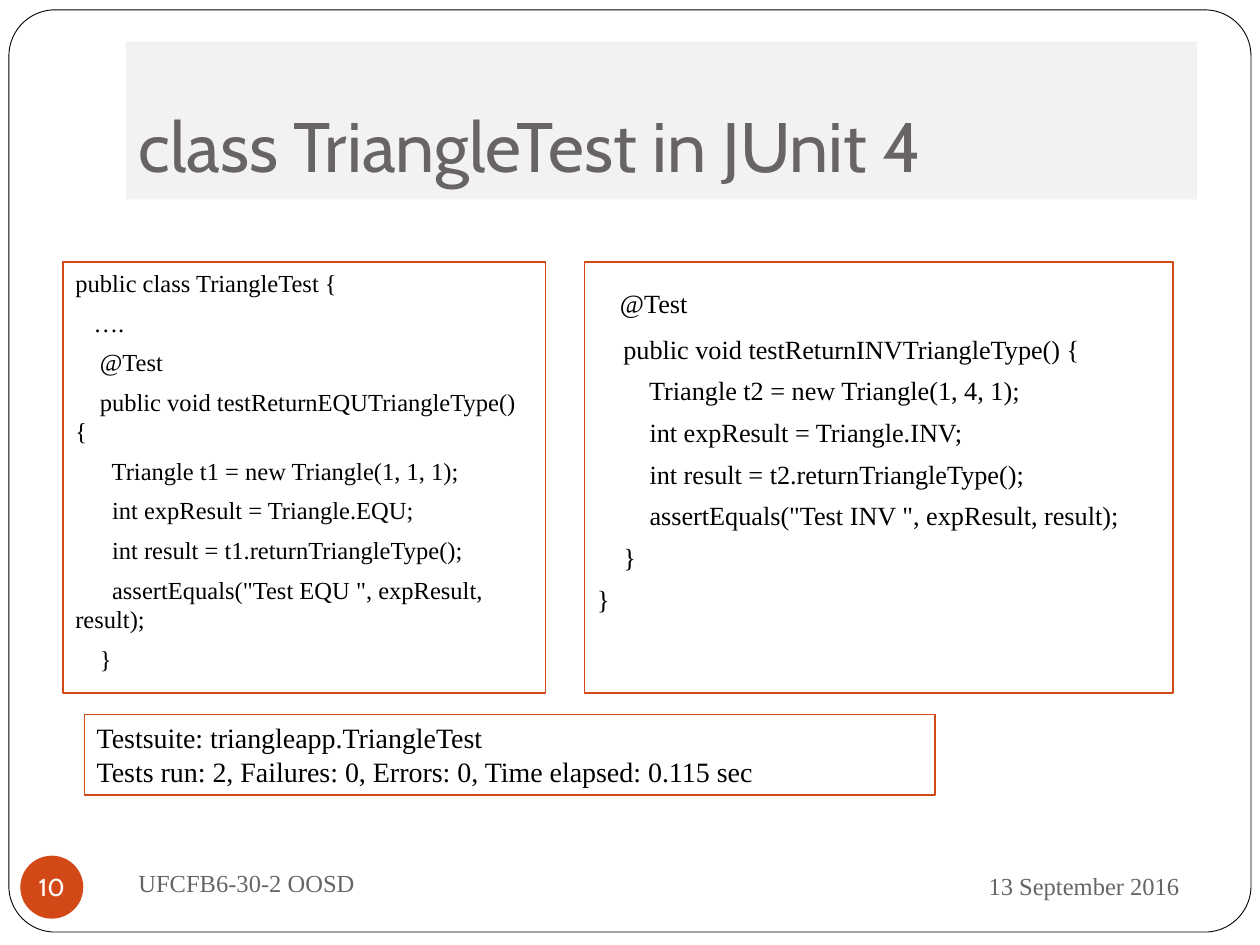
"""Build a slide showing a JUnit 4 test class and its test run output."""
from pptx import Presentation
from pptx.dml.color import RGBColor
from pptx.enum.shapes import MSO_SHAPE as Shape
from pptx.enum.text import MSO_ANCHOR as Anchor, PP_ALIGN as Align
from pptx.util import Cm, Pt

BLACK = RGBColor(0x00, 0x00, 0x00)
WHITE = RGBColor(0xFF, 0xFF, 0xFF)
GREY = RGBColor(0x69, 0x64, 0x64)
PALE = RGBColor(0xF2, 0xF2, 0xF2)
ORANGE = RGBColor(0xD3, 0x48, 0x17)
SERIF, SANS = "Times New Roman", "Cabin"

TITLE = "class TriangleTest in JUnit 4"
DATE = "13 September 2016"
COURSE = "UFCFB6-30-2 OOSD"
PAGE_NUMBER = "10"
EQU_TEST = [
    "public class TriangleTest {",
    "   ….",
    "    @Test",
    "    public void testReturnEQUTriangleType() {",
    "      Triangle t1 = new Triangle(1, 1, 1);",
    "      int expResult = Triangle.EQU;",
    "      int result = t1.returnTriangleType();",
    '      assertEquals("Test EQU ", expResult, result);',
    "    }",
]
INV_INDENT = "  "
INV_TEST = [
    INV_INDENT,
    "    public void testReturnINVTriangleType() {",
    "        Triangle t2 = new Triangle(1, 4, 1);",
    "        int expResult = Triangle.INV;",
    "        int result = t2.returnTriangleType();",
    '        assertEquals("Test INV ", expResult, result);',
    "    }",
    "}",
]
RESULTS = [
    "Testsuite: triangleapp.TriangleTest",
    "Tests run: 2, Failures: 0, Errors: 0, Time elapsed: 0.115 sec",
]
CODE_TOP, CODE_HEIGHT, CODE_GAP = 5.28, 8.69, 5.8


def add_panel(slide, kind, box, fill=None, line=None, width=0.75):
    """Add a preset shape with the given fill and outline."""
    shape = slide.shapes.add_shape(kind, *map(Cm, box))
    shape.shadow.inherit = False
    if fill is None:
        shape.fill.background()
    else:
        shape.fill.solid()
        shape.fill.fore_color.rgb = fill
    if line is None:
        shape.line.fill.background()
    else:
        shape.line.color.rgb = line
        shape.line.width = Pt(width)
    return shape


def style_run(run, size, font, color):
    """Set the size, typeface and colour of a run."""
    run.font.size = Pt(size)
    run.font.name = font
    run.font.color.rgb = color


def write(shape, lines, size, font=SERIF, color=BLACK, align=Align.LEFT,
          anchor=Anchor.TOP, gap=0):
    """Fill a shape with one paragraph per line."""
    frame = shape.text_frame
    frame.word_wrap = True
    frame.vertical_anchor = anchor
    frame.text = "\n".join(lines)
    for index, paragraph in enumerate(frame.paragraphs):
        paragraph.alignment = align
        paragraph.space_before = Pt(gap if index else 0)
        for run in paragraph.runs:
            style_run(run, size, font, color)
    return frame


def main():
    """Lay out the slide and save it."""
    presentation = Presentation()
    presentation.slide_width, presentation.slide_height = Cm(25.4), Cm(19.05)
    slide = presentation.slides.add_slide(presentation.slide_layouts[6])

    border = add_panel(slide, Shape.ROUNDED_RECTANGLE,
                       (0.18, 0.2, 25.04, 18.59), WHITE, BLACK, 0.5)
    border.adjustments[0] = 0.05

    title = add_panel(slide, Shape.RECTANGLE, (2.54, 0.84, 21.59, 3.18), PALE)
    frame = write(title, [TITLE], 40, SANS, GREY, anchor=Anchor.BOTTOM)
    frame.margin_bottom = Cm(0.25)

    date = slide.shapes.add_textbox(*map(Cm, (17.15, 17.2, 6.88, 1.32)))
    write(date, [DATE], 14, color=GREY, align=Align.RIGHT, anchor=Anchor.MIDDLE)
    course = slide.shapes.add_textbox(*map(Cm, (2.54, 17.15, 11, 1.27)))
    write(course, [COURSE], 14, color=GREY, anchor=Anchor.MIDDLE)

    badge = add_panel(slide, Shape.OVAL, (0.41, 17.25, 1.27, 1.27), ORANGE)
    frame = write(badge, [PAGE_NUMBER], 14, SANS, WHITE, Align.CENTER,
                  Anchor.MIDDLE)
    frame.word_wrap = False
    frame.margin_left = frame.margin_right = 0
    frame.margin_top = frame.margin_bottom = 0

    equ_panel = add_panel(slide, Shape.RECTANGLE,
                          (1.27, CODE_TOP, 9.73, CODE_HEIGHT), line=ORANGE)
    write(equ_panel, EQU_TEST, 14, gap=CODE_GAP)

    inv_panel = add_panel(slide, Shape.RECTANGLE,
                          (11.79, CODE_TOP, 11.86, CODE_HEIGHT), line=ORANGE)
    first = write(inv_panel, INV_TEST, 15, gap=CODE_GAP).paragraphs[0]
    first.runs[0].font.size = Pt(26)
    annotation = first.add_run()
    annotation.text = "@Test"
    style_run(annotation, 15, SERIF, BLACK)

    results = add_panel(slide, Shape.RECTANGLE, (1.7, 14.4, 17.15, 1.63),
                        line=ORANGE)
    write(results, RESULTS, 16)

    presentation.save("out.pptx")


if __name__ == "__main__":
    main()
